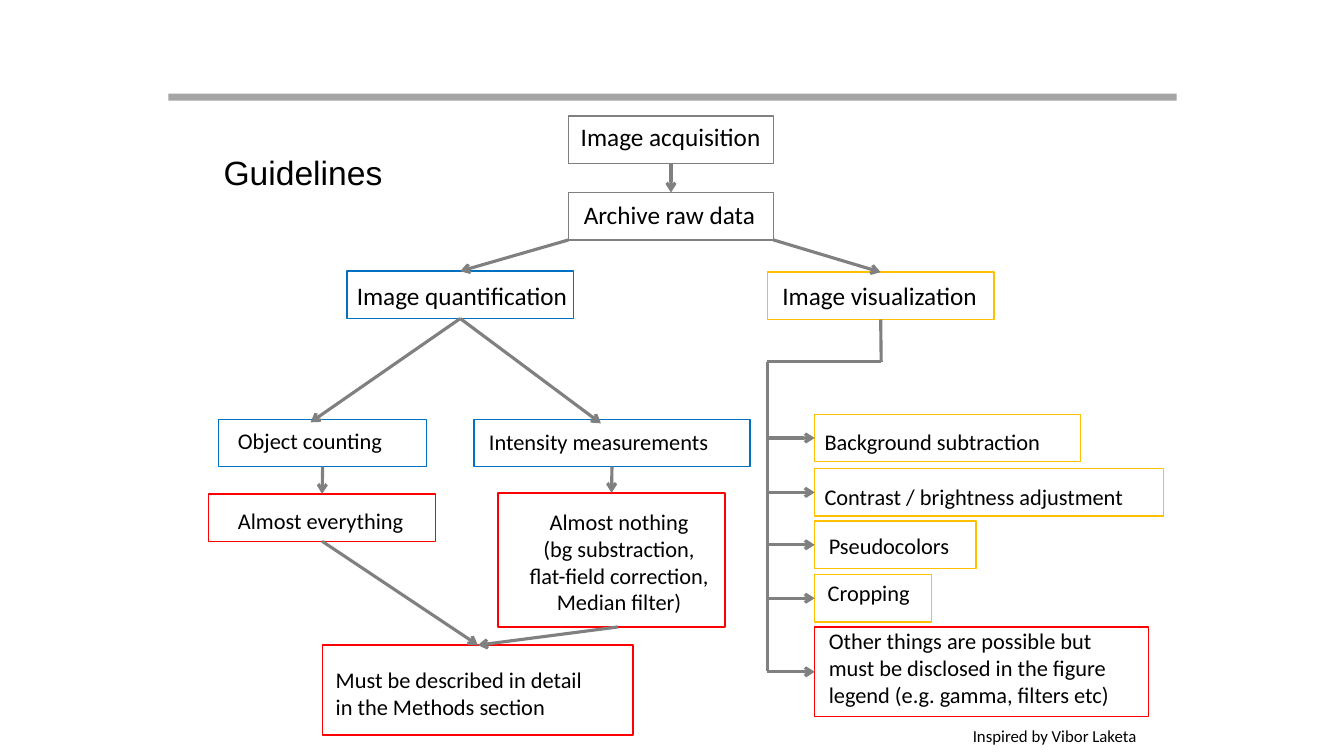
from pptx import Presentation
from pptx.dml.color import RGBColor
from pptx.enum.shapes import MSO_CONNECTOR, MSO_SHAPE
from pptx.enum.text import MSO_ANCHOR, PP_ALIGN
from pptx.oxml.ns import qn
from pptx.util import Inches, Pt
from lxml import etree

RECT, STRAIGHT = MSO_SHAPE.RECTANGLE, MSO_CONNECTOR.STRAIGHT
LEFT, CENTER = PP_ALIGN.LEFT, PP_ALIGN.CENTER
TOP, MIDDLE = MSO_ANCHOR.TOP, MSO_ANCHOR.MIDDLE
GRAY, BLUE, YELLOW, RED = "808080", "0070C0", "FFC000", "FF0000"
TOP_SITE, LEFT_SITE, BOTTOM_SITE = 0, 1, 2
TITLE_ONLY = 5


def write(shape, text, size=16, font="Calibri", color="000000", align=LEFT,
          anchor=TOP, insets=(0.1, 0.05, 0, 0), wrap=True):
    frame = shape.text_frame
    frame.word_wrap = wrap
    frame.vertical_anchor = anchor
    (frame.margin_left, frame.margin_top,
     frame.margin_right, frame.margin_bottom) = map(Inches, insets)
    for i, line in enumerate(text.split("\n")):
        paragraph = frame.add_paragraph() if i else frame.paragraphs[0]
        paragraph.alignment = align
        run = paragraph.add_run()
        run.text = line
        run.font.size, run.font.name = Pt(size), font
        run.font.color.rgb = RGBColor.from_string(color)


def connect(start, end, arrow=True):
    """Each end is a point (x, y) or a box name with its connection site."""
    points = [(0, 0) if isinstance(e[0], str) else e for e in (start, end)]
    line = slide.shapes.add_connector(
        STRAIGHT, *[Inches(v) for point in points for v in point])
    if isinstance(start[0], str):
        line.begin_connect(boxes[start[0]], start[1])
    if isinstance(end[0], str):
        line.end_connect(boxes[end[0]], end[1])
    line.line.color.rgb = RGBColor.from_string(GRAY)
    line.line.width = Pt(2.25)
    if arrow:
        etree.SubElement(line.line._get_or_add_ln(), qn("a:tailEnd"), type="arrow")
    etree.SubElement(line._element.spPr, qn("a:effectLst"))


deck = Presentation()
deck.slide_width, deck.slide_height = Inches(13.33), Inches(7.5)
slide = deck.slides.add_slide(deck.slide_layouts[TITLE_ONLY])

# Title and header rule
title = slide.shapes.title
title.left, title.top, title.width, title.height = map(Inches, (1.94, 1.08, 2.13, 1.25))
write(title, "Guidelines", size=24, font="Arial", align=CENTER, anchor=MIDDLE,
      insets=(0.1, 0.05, 0.1, 0.05))
rule = slide.shapes.add_shape(RECT, *map(Inches, (1.67, 0.93, 10, 0.07)))
rule.shadow.inherit = False
rule.fill.solid()
rule.fill.fore_color.rgb = RGBColor.from_string("A5A5A5")
rule.line.fill.background()

# Boxes: name, left, top, width, height, outline, left and top inset, size, text
H = 0.47
steps = [
    ("acquisition", 5.64, 1.15, 2.03, H, GRAY, 0.12, 0.05, 18, "Image acquisition"),
    ("archive", 5.64, 1.91, 2.03, H, GRAY, 0.15, 0.07, 18, "Archive raw data"),
    ("quantification", 3.44, 2.69, 2.25, H, BLUE, 0.1, 0.09, 18, "Image quantification"),
    ("visualization", 7.61, 2.7, 2.25, H, YELLOW, 0.15, 0.08, 18, "Image visualization"),
    ("counting", 2.17, 4.16, 2.06, H, BLUE, 0.19, 0.08, 16, "Object counting"),
    ("intensity", 4.7, 4.16, 2.74, H, BLUE, 0.15, 0.09, 16, "Intensity measurements"),
    ("everything", 2.07, 4.9, 2.25, H, RED, 0.29, 0.13, 16, "Almost everything"),
    ("nothing", 4.94, 4.89, 2.25, 1.33, RED, 0.15, 0.15, 16,
     "Almost nothing\n(bg substraction,\nflat-field correction,\nMedian filter)"),
    ("methods", 3.2, 6.4, 3.08, 0.89, RED, 0.13, 0.21, 16,
     "Must be described in detail\nin the Methods section"),
    ("background", 8.08, 4.11, 2.64, H, YELLOW, 0.1, 0.14, 16, "Background subtraction"),
    ("contrast", 8.08, 4.65, 3.46, H, YELLOW, 0.1, 0.14, 16,
     "Contrast / brightness adjustment"),
    ("pseudocolors", 8.08, 5.17, 1.6, H, YELLOW, 0.14, 0.11, 16, "Pseudocolors"),
    ("cropping", 8.08, 5.7, 1.16, H, YELLOW, 0.13, 0.05, 16, "Cropping"),
    ("other", 8.08, 6.22, 3.31, 0.89, RED, 0.14, 0, 16,
     "Other things are possible but\nmust be disclosed in the figure\n"
     "legend (e.g. gamma, filters etc)"),
]
boxes = {}
for name, left, top, width, height, outline, inset_x, inset_y, size, text in steps:
    box = slide.shapes.add_shape(RECT, *map(Inches, (left, top, width, height)))
    box.shadow.inherit = False
    box.fill.background()
    box.line.color.rgb = RGBColor.from_string(outline)
    box.line.width = Pt(1)
    write(box, text, size=size, align=CENTER if name == "nothing" else LEFT,
          insets=(inset_x, inset_y, 0, 0))
    boxes[name] = box

# Flow from acquisition down to the methods section
for start, end in [
    (("acquisition", BOTTOM_SITE), ("archive", TOP_SITE)),
    ((5.64, 2.38), ("quantification", TOP_SITE)),
    ((7.67, 2.38), ("visualization", TOP_SITE)),
    (("quantification", BOTTOM_SITE), (3.08, 4.19)),
    (("quantification", BOTTOM_SITE), (5.96, 4.2)),
    (("counting", BOTTOM_SITE), ("everything", TOP_SITE)),
    (("intensity", BOTTOM_SITE), ("nothing", TOP_SITE)),
    (("everything", BOTTOM_SITE), ("methods", TOP_SITE)),
    ((6.13, 6.22), ("methods", TOP_SITE)),
]:
    connect(start, end)

# Trunk from visualization with a branch to each allowed step
trunk_x, bend_y = 7.61, 3.59
connect(("visualization", BOTTOM_SITE), (8.74, bend_y), arrow=False)
connect((8.74, bend_y), (trunk_x, bend_y), arrow=False)
connect((trunk_x, bend_y), (trunk_x, 6.66), arrow=False)
for name in ("background", "contrast", "pseudocolors", "cropping", "other"):
    box = boxes[name]
    middle = (box.top + box.height / 2) / Inches(1)
    connect((trunk_x, middle), (name, LEFT_SITE))

# Credit
credit = slide.shapes.add_textbox(*map(Inches, (9.55, 7.15, 1.84, 0.3)))
write(credit, "Inspired by Vibor Laketa", size=12)

deck.save("out.pptx")
